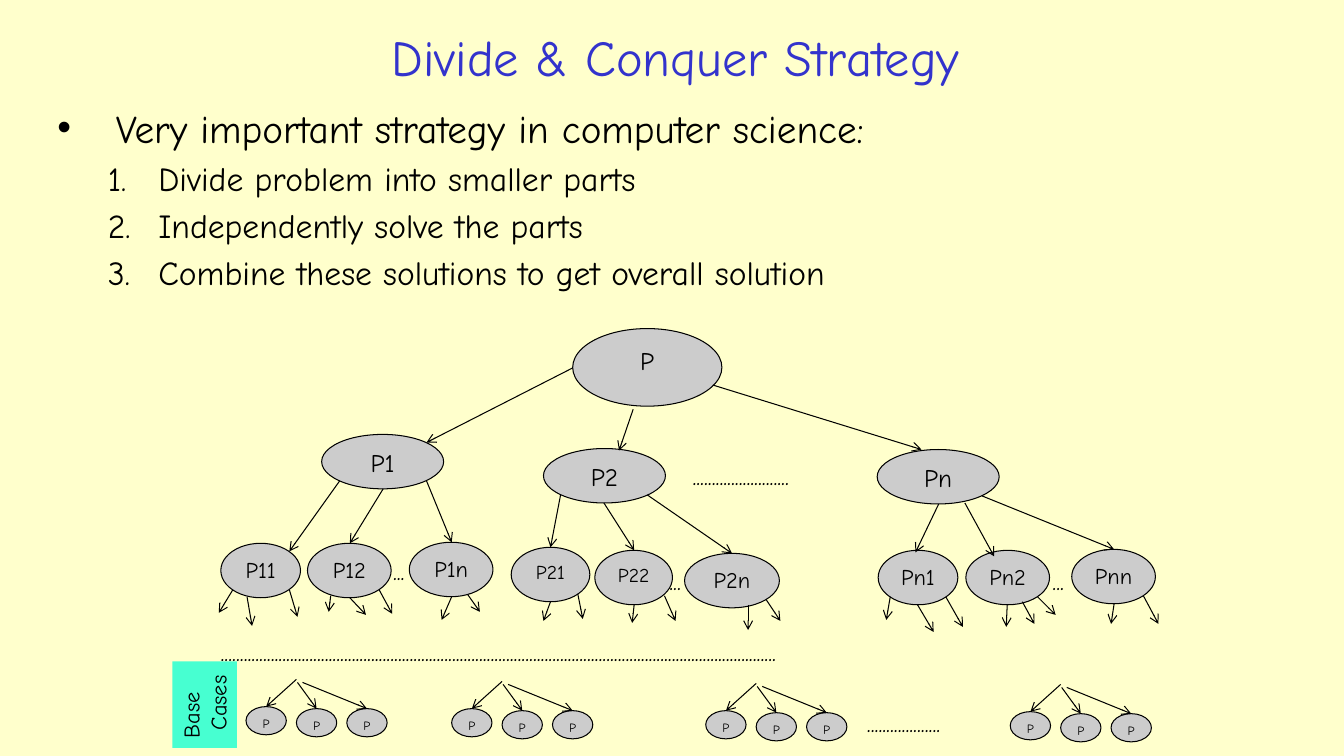
from lxml import etree
from pptx import Presentation
from pptx.dml.color import RGBColor
from pptx.enum import shapes, text
from pptx.oxml import ns
from pptx.util import Inches, Pt

FONT = "Comic Neue"
BLACK = RGBColor(0, 0, 0)
BLUE = RGBColor(0x33, 0x33, 0xCC)
CREAM = RGBColor(0xFF, 0xFF, 0xCC)
GREY = RGBColor(0xCC, 0xCC, 0xCC)
MINT = RGBColor(0x47, 0xFF, 0xD1)

TITLE = "Divide & Conquer Strategy"
INTRO = "Very important strategy in computer science:"
STEPS = [
    "Divide problem into smaller parts",
    "Independently solve the parts",
    "Combine these solutions to get overall solution",
]

# label, left, top, width, height, text size
NODES = [
    ("P", 5.68, 3.26, 1.48, 0.77, 18),
    ("P1", 3.19, 4.31, 1.21, 0.54, 18),
    ("P2", 5.39, 4.45, 1.21, 0.54, 18),
    ("Pn", 8.7, 4.46, 1.21, 0.54, 18),
    ("P11", 2.19, 5.39, 0.79, 0.54, 16),
    ("P12", 3.05, 5.39, 0.83, 0.54, 16),
    ("P1n", 4.06, 5.38, 0.83, 0.54, 16),
    ("P21", 5.07, 5.43, 0.78, 0.54, 14),
    ("P22", 5.9, 5.46, 0.77, 0.54, 14),
    ("P2n", 6.79, 5.49, 0.94, 0.54, 16),
    ("Pn1", 8.71, 5.46, 0.79, 0.54, 16),
    ("Pn2", 9.58, 5.46, 0.83, 0.54, 16),
    ("Pnn", 10.63, 5.45, 0.83, 0.54, 16),
]

# start x, start y, end x, end y, grouped by parent node
ARROWS = {
    "P": [(5.68, 3.65, 4.23, 4.39), (6.28, 4.06, 6.14, 4.47), (7.07, 3.82, 9.14, 4.46)],
    "P1": [(3.37, 4.77, 2.87, 5.47), (3.8, 4.85, 3.47, 5.39), (4.23, 4.77, 4.48, 5.38)],
    "P2": [(5.56, 4.91, 5.46, 5.43), (5.99, 4.99, 6.29, 5.46), (6.42, 4.91, 7.26, 5.49)],
    "Pn": [(9.31, 5, 9.08, 5.48), (9.57, 4.99, 9.86, 5.52), (9.74, 4.92, 11.05, 5.45)],
    "P11": [(2.31, 5.85, 2.17, 6.08), (2.45, 5.92, 2.5, 6.21), (2.87, 5.85, 2.95, 6.12)],
    "P12": [(3.28, 5.91, 3.26, 6.07), (3.47, 5.93, 3.63, 6.1), (3.76, 5.85, 3.89, 6.09)],
    "P1n": [(4.48, 5.92, 4.38, 6.15), (4.64, 5.9, 4.76, 6.07)],
    "P21": [(5.46, 5.97, 5.39, 6.16), (5.73, 5.89, 5.78, 6.14)],
    "P22": [(6.29, 6, 6.27, 6.18), (6.59, 5.91, 6.7, 6.16)],
    "P2n": [(7.42, 6, 7.42, 6.25), (7.6, 5.95, 7.74, 6.16)],
    "Pn1": [(8.83, 5.92, 8.79, 6.15), (9.1, 6, 9.26, 6.27), (9.38, 5.92, 9.55, 6.22)],
    "Pn2": [(9.99, 6, 9.98, 6.22), (10.14, 5.97, 10.26, 6.19), (10.29, 5.92, 10.47, 6.1)],
    "Pnn": [(11.05, 5.99, 11.02, 6.19), (11.34, 5.91, 11.49, 6.19)],
}

# number of dots, left, top, width
DOTS = [
    (144, 2.09, 6.26, 9.27),
    (25, 6.77, 4.52, 1.79),
    (19, 8.5, 6.97, 1.48),
    (3, 3.8, 5.46, 0.46),
    (3, 6.54, 5.56, 0.46),
    (3, 10.34, 5.56, 0.46),
]

BASE_CASES = [(2.44, 7.01), (4.48, 7.03), (7, 7.05), (10.02, 7.06)]
LEAF_OFFSETS = [(0, 0), (0.5, 0.02), (1, 0.02)]
LEAF_STARTS = [(0.5, -0.27), (0.51, -0.24), (0.56, -0.24)]
LEAF_W, LEAF_H = 0.4, 0.28


def style(p, size, color=BLACK):
    """Format every run of a paragraph."""
    for r in p.runs:
        r.font.name = FONT
        r.font.size = Pt(size)
        r.font.color.rgb = color


def place(sp, left, top, width, height):
    """Move and size a shape in inches."""
    sp.left, sp.top = Inches(left), Inches(top)
    sp.width, sp.height = Inches(width), Inches(height)


def add_node(s, label, left, top, width, height, size):
    """Draw one labelled problem ellipse."""
    sp = s.shapes.add_shape(shapes.MSO_SHAPE.OVAL, Inches(left), Inches(top),
                            Inches(width), Inches(height))
    sp.shadow.inherit = False
    sp.fill.solid()
    sp.fill.fore_color.rgb = GREY
    sp.line.color.rgb = BLACK
    sp.line.width = Pt(0.75)
    tf = sp.text_frame
    tf.text = label
    tf.word_wrap = False
    tf.vertical_anchor = text.MSO_ANCHOR.TOP
    tf.paragraphs[0].alignment = text.PP_ALIGN.CENTER
    style(tf.paragraphs[0], size)


def add_arrow(s, x1, y1, x2, y2):
    """Draw one arrow with an open head at its end."""
    c = s.shapes.add_connector(shapes.MSO_CONNECTOR.STRAIGHT, Inches(x1), Inches(y1),
                               Inches(x2), Inches(y2))
    c.line.color.rgb = BLACK
    c.line.width = Pt(0.75)
    etree.SubElement(c.line._get_or_add_ln(), ns.qn("a:tailEnd"), type="arrow")
    etree.SubElement(c._element.spPr, ns.qn("a:effectLst"))


def add_heading(s):
    """Fill the title and the numbered list."""
    title, body = s.placeholders
    place(title, 1.93, 0.18, 9.54, 0.76)
    title.text_frame.text = TITLE
    title.text_frame.auto_size = text.MSO_AUTO_SIZE.NONE
    style(title.text_frame.paragraphs[0], 36, BLUE)

    place(body, 0.47, 0.98, 12.27, 2.06)
    tf = body.text_frame
    tf.text = "\n".join([INTRO] + STEPS)
    tf.auto_size = text.MSO_AUTO_SIZE.NONE
    for i, p in enumerate(tf.paragraphs):
        pPr = p._p.get_or_add_pPr()
        margin, hanging = (1, 0.5) if i else (0.58, 0.58)
        pPr.set("marL", str(Inches(margin)))
        pPr.set("indent", str(-Inches(hanging)))
        if i:
            p.level = 1
            etree.SubElement(pPr, ns.qn("a:buFont"), typeface=FONT)
            etree.SubElement(pPr, ns.qn("a:buAutoNum"), type="arabicPeriod")
        else:
            p.space_before = Pt(0)
        style(p, 24 if i else 28)


def add_tree(s):
    """Draw the problem tree, its base cases and the dotted gaps."""
    for count, left, top, width in DOTS:
        sp = s.shapes.add_textbox(Inches(left), Inches(top), Inches(width), Inches(0.4))
        sp.text_frame.word_wrap = True
        sp.text_frame.text = "." * count
        style(sp.text_frame.paragraphs[0], 18)
    for node in NODES:
        add_node(s, *node)
    for group in ARROWS.values():
        for arrow in group:
            add_arrow(s, *arrow)
    for x, y in BASE_CASES:
        for (dx, dy), (sx, sy) in zip(LEAF_OFFSETS, LEAF_STARTS):
            add_node(s, "P", x + dx, y + dy, LEAF_W, LEAF_H, 9)
            add_arrow(s, x + sx, y + sy, x + dx + LEAF_W / 2, y + dy)


def add_base_label(s):
    """Draw the rotated label beside the base cases."""
    sp = s.shapes.add_shape(shapes.MSO_SHAPE.RECTANGLE, Inches(1.6), Inches(6.67),
                            Inches(0.86), Inches(0.64))
    sp.rotation = 270
    sp.shadow.inherit = False
    sp.fill.solid()
    sp.fill.fore_color.rgb = MINT
    sp.line.fill.background()
    tf = sp.text_frame
    tf.text = "Base\n Cases"
    tf.vertical_anchor = text.MSO_ANCHOR.TOP
    for p in tf.paragraphs:
        p.alignment = text.PP_ALIGN.LEFT
        style(p, 16)


def main():
    """Build the divide and conquer slide."""
    prs = Presentation()
    prs.slide_width, prs.slide_height = Inches(13.33), Inches(7.5)
    s = prs.slides.add_slide(prs.slide_layouts[1])
    s.background.fill.solid()
    s.background.fill.fore_color.rgb = CREAM
    add_heading(s)
    add_tree(s)
    add_base_label(s)
    prs.save("out.pptx")


if __name__ == "__main__":
    main()
